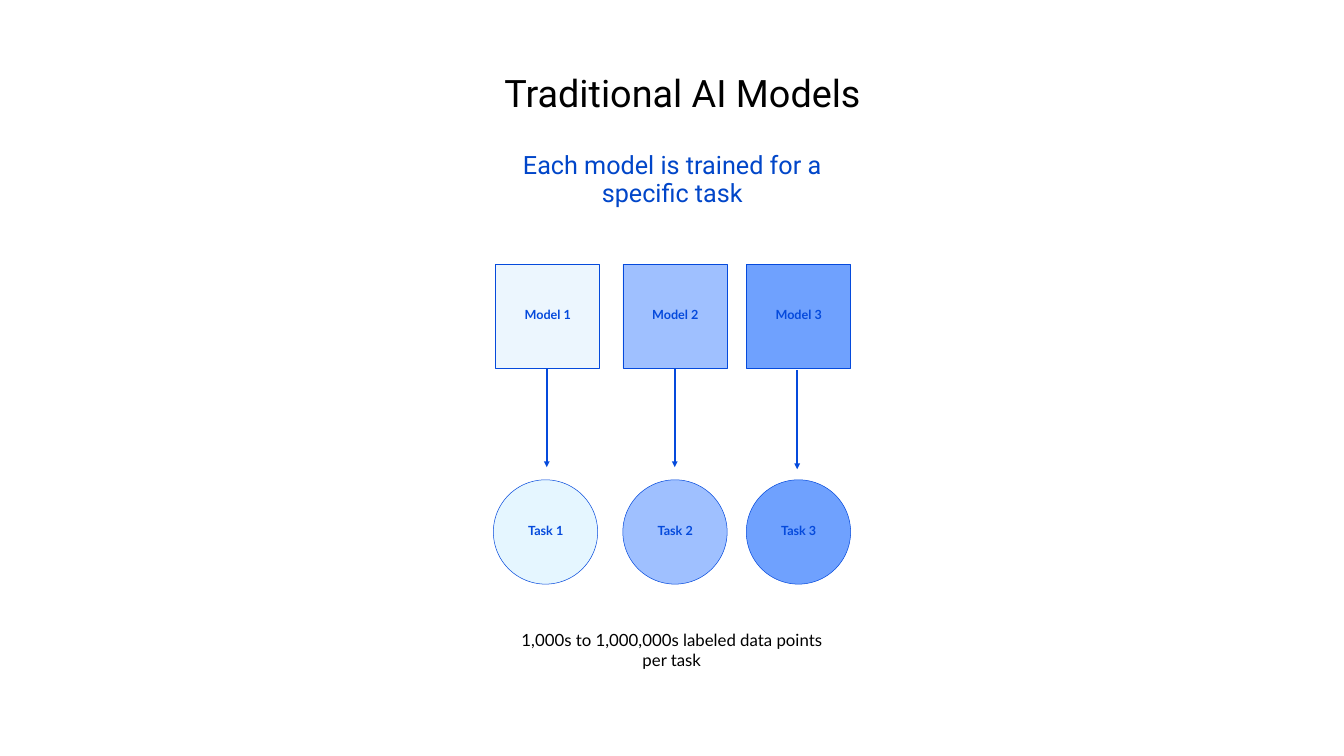
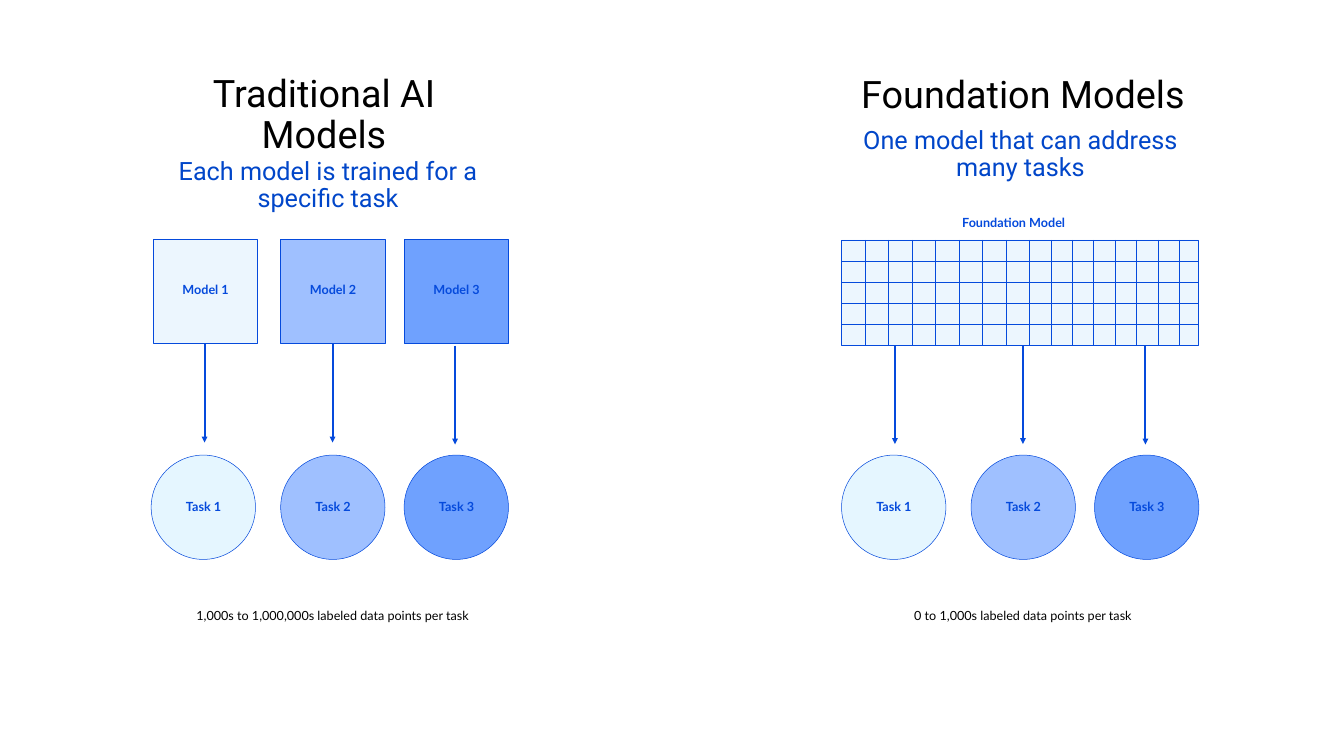
"""Build two slides that compare task-bound models with a shared base model."""
import dataclasses

import lxml.etree
import pptx
import pptx.dml.color
import pptx.enum.shapes
import pptx.enum.text
import pptx.oxml.ns
import pptx.util

Inches = pptx.util.Inches
Pt = pptx.util.Pt
Kind = pptx.enum.shapes.MSO_SHAPE


@dataclasses.dataclass(frozen=True)
class Theme:
    page: str = "FFFFFF"
    ink: str = "000000"
    blue: str = "054ADC"
    lead: str = "0146C9"
    boxes: tuple = ("ECF6FE", "9FC0FF", "6FA1FE")
    discs: tuple = ("E5F6FF", "9FC0FF", "6FA1FE")
    head_font: str = "Roboto"
    body_font: str = "Lato"
    head_size: int = 54
    lead_size: int = 36
    note_size: int = 24
    label_size: int = 18
    thin: float = 0.75
    thick: float = 2.75


THEME = Theme()
SIDE = 2.07
BOX_STEPS = (0, 2.53, 4.98)
DISC_STEPS = (-0.04, 2.53, 4.98)
ARROW_STEPS = (1.02, 3.56, 5.99)
TRADE = "Traditional AI Models"
TRADE_LEAD = "Each model is trained for a specific task"
TRADE_NOTE = "1,000s to 1,000,000s labeled data points per task"


def tint(code):
    return pptx.dml.color.RGBColor.from_string(code)


def add_text(slide, text, left, top, width, height, size, color, font, bold=False, space=None):
    frame = slide.shapes.add_textbox(
        Inches(left), Inches(top), Inches(width), Inches(height)).text_frame
    frame.word_wrap = True
    frame.margin_left = frame.margin_right = frame.margin_top = frame.margin_bottom = 0
    line = frame.paragraphs[0]
    line.text = text
    line.alignment = pptx.enum.text.PP_ALIGN.CENTER
    line.line_spacing = space
    line.font.size = Pt(size)
    line.font.name = font
    line.font.bold = bold
    line.font.color.rgb = tint(color)


def add_title(slide, text, left, top, width=7):
    add_text(slide, text, left, top, width, 1.28,
             THEME.head_size, THEME.ink, THEME.head_font, space=0.9)


def add_lead(slide, text, left, top):
    add_text(slide, text, left, top, 7, 1.28,
             THEME.lead_size, THEME.lead, THEME.head_font, space=0.9)


def add_label(slide, text, left, top, width=1.56):
    add_text(slide, text, left, top, width, 0.39,
             THEME.label_size, THEME.blue, THEME.body_font, bold=True)


def add_note(slide, text, left, top, size):
    add_text(slide, text, left, top, 5.98, 1.02, size, THEME.ink, THEME.body_font)


def add_block(slide, kind, left, top, width, height, fill):
    block = slide.shapes.add_shape(
        kind, Inches(left), Inches(top), Inches(width), Inches(height))
    block.shadow.inherit = False
    block.fill.solid()
    block.fill.fore_color.rgb = tint(fill)
    block.line.color.rgb = tint(THEME.blue)
    block.line.width = Pt(THEME.thin)


def add_line(slide, start, end, width=THEME.thin, arrow=False):
    points = [Inches(value) for value in (*start, *end)]
    line = slide.shapes.add_connector(pptx.enum.shapes.MSO_CONNECTOR.STRAIGHT, *points)
    line.line.color.rgb = tint(THEME.blue)
    line.line.width = Pt(width)
    name = pptx.oxml.ns.qn
    if arrow:
        lxml.etree.SubElement(line.line._get_or_add_ln(), name("a:tailEnd"), type="triangle")
    lxml.etree.SubElement(line._element.spPr, name("a:effectLst"))


def add_row(slide, kind, word, left, top, steps, fills, drop):
    for count, (step, fill) in enumerate(zip(steps, fills), 1):
        add_block(slide, kind, left + step, top, SIDE, SIDE, fill)
        add_label(slide, f"{word} {count}", left + step + 0.26, top + drop)


def add_tasks(slide, left, top, starts):
    for step, start in zip(ARROW_STEPS, starts):
        spot = left + step
        add_line(slide, (spot, top + start), (spot, top + start + 1.96), THEME.thick, True)
    add_row(slide, Kind.OVAL, "Task", left, top + 4.28, DISC_STEPS, THEME.discs, 0.86)


def add_models(slide, left, top):
    add_row(slide, Kind.RECTANGLE, "Model", left, top, BOX_STEPS, THEME.boxes, 0.84)
    add_tasks(slide, left, top, (SIDE, SIDE, 2.11))


def add_grid(slide, left, top):
    width, height = 7.08, 2.1
    add_block(slide, Kind.RECTANGLE, left, top, width, height, THEME.boxes[0])
    for row in range(1, 5):
        level = top + 0.42 * row
        add_line(slide, (left, level), (left + width, level))
    wide = [0.466 * col for col in range(1, 9)]
    slim = [wide[-1] + 0.425 * col for col in range(1, 8)]
    for step in wide + slim:
        add_line(slide, (left + step, top), (left + step, top + height))


def add_page(deck):
    slide = deck.slides.add_slide(deck.slide_layouts[6])
    slide.background.fill.solid()
    slide.background.fill.fore_color.rgb = tint(THEME.page)
    return slide


def build_first(deck):
    slide = add_page(deck)
    add_title(slide, TRADE, 9.84, 1.49, 7.41)
    add_models(slide, 9.83, 5.24)
    add_lead(slide, TRADE_LEAD, 9.84, 3.04)
    add_note(slide, TRADE_NOTE, 10.34, 12.49, THEME.note_size)


def build_second(deck):
    slide = add_page(deck)
    add_title(slide, TRADE, 2.93, 1.49)
    add_models(slide, 3.04, 4.75)
    add_lead(slide, TRADE_LEAD, 3.01, 3.15)
    add_title(slide, "Foundation Models", 16.8, 1.51)
    add_lead(slide, "One model that can address many tasks", 16.75, 2.53)
    add_tasks(slide, 16.74, 4.75, (2.1, 2.1, 2.11))
    add_label(slide, "Foundation Model", 18.96, 4.26, 2.31)
    add_grid(slide, 16.7, 4.76)
    add_note(slide, TRADE_NOTE, 3.61, 12.06, THEME.label_size)
    add_note(slide, "0 to 1,000s labeled data points per task", 17.31, 12.06, THEME.label_size)


def main():
    deck = pptx.Presentation()
    deck.slide_width = Inches(26.67)
    deck.slide_height = Inches(15)
    build_first(deck)
    build_second(deck)
    deck.save("out.pptx")


if __name__ == "__main__":
    main()
